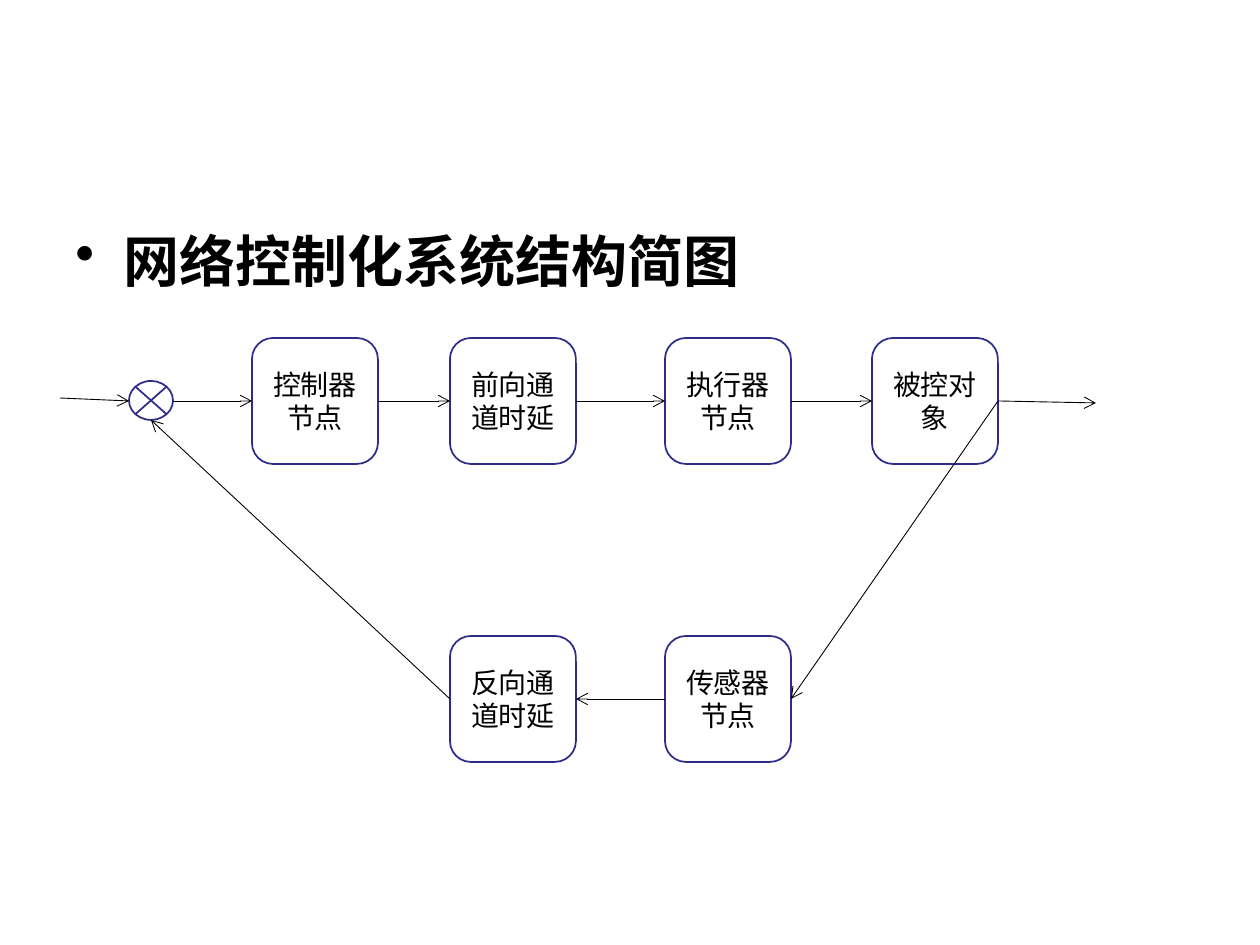
from lxml import etree
from pptx import Presentation
from pptx import util as u
from pptx.dml.color import RGBColor
from pptx.enum import shapes, text
from pptx.oxml import ns

SCALE = u.Inches(1) / 126  # EMU per px
BLACK = RGBColor(0x00, 0x00, 0x00)
WHITE = RGBColor(0xFF, 0xFF, 0xFF)
NAVY = RGBColor(0x2D, 0x2D, 0x89)

NODE = 126
LEFT, RIGHT = 1, 3  # connection sites of a node
COLUMNS = (192, 390, 605, 812)
FORWARD_ROW, FEEDBACK_ROW = 0, 298


def px(length):
    return u.Emu(round(length * SCALE))


def add_title(page, left, top, width, height):
    box = page.shapes.add_textbox(px(left), px(top), px(width), px(height))
    box.text_frame.word_wrap = True
    para = box.text_frame.paragraphs[0]
    para.text = "网络控制化系统结构简图"
    para.space_before = u.Pt(8)
    para.font.name = "Noto Sans CJK SC"
    para.font.size = u.Pt(32)
    para.font.bold = True
    para.font.color.rgb = BLACK
    # Hanging bullet
    properties = para._p.get_or_add_pPr()
    properties.set("marL", str(px(48)))
    properties.set("indent", str(-px(48)))
    bullet = etree.Element(ns.qn("a:buChar"), char="•")
    properties.find(ns.qn("a:spcBef")).addnext(bullet)


def add_outlined(page, kind, left, top, width, height):
    shape = page.shapes.add_shape(kind, px(left), px(top), px(width), px(height))
    shape.shadow.inherit = False
    shape.fill.solid()
    shape.fill.fore_color.rgb = WHITE
    shape.line.color.rgb = NAVY
    shape.line.width = u.Pt(1)
    return shape


def add_node(page, label, left, top):
    node = add_outlined(page, shapes.MSO_SHAPE.ROUNDED_RECTANGLE,
                        left, top, NODE, NODE)
    frame = node.text_frame
    frame.word_wrap = True
    frame.vertical_anchor = text.MSO_ANCHOR.MIDDLE
    para = frame.paragraphs[0]
    para.text = label
    para.alignment = text.PP_ALIGN.CENTER
    para.font.name = "Arial"
    para.font.size = u.Pt(16)
    para.font.color.rgb = BLACK
    return node


def add_arrow(page, start, end):
    """Each end is a point (x, y) in px or a pair (node, site)."""
    points = [(0, 0) if place[0] in page.shapes else place for place in (start, end)]
    arrow = page.shapes.add_connector(
        shapes.MSO_CONNECTOR.STRAIGHT,
        *(px(value) for point in points for value in point))
    for place, connect in ((start, arrow.begin_connect), (end, arrow.end_connect)):
        if place[0] in page.shapes:
            connect(*place)
    arrow.line.color.rgb = BLACK
    arrow.line.width = u.Pt(0.5)
    etree.SubElement(arrow.line._get_or_add_ln(), ns.qn("a:tailEnd"), type="arrow")
    etree.SubElement(arrow._element.spPr, ns.qn("a:effectLst"))


def add_control_loop(page, left, top, width):
    def at(x, y):
        return left + x, top + y

    # Summing junction
    middle = NODE // 2
    add_outlined(page, shapes.MSO_SHAPE.FLOWCHART_SUMMING_JUNCTION,
                 *at(69, 43), 44, 39)

    # Nodes of the forward path and the feedback path
    controller, forward_delay, actuator, plant = [
        add_node(page, label, *at(x, FORWARD_ROW))
        for label, x in zip(("控制器节点", "前向通道时延", "执行器节点", "被控对象"),
                            COLUMNS)]
    feedback_delay, sensor = [
        add_node(page, label, *at(x, FEEDBACK_ROW))
        for label, x in zip(("反向通道时延", "传感器节点"), COLUMNS[1:3])]

    # Signal flow
    for start, end in (
            (at(0, middle - 3), at(69, middle)),
            (at(113, middle), (controller, LEFT)),
            ((controller, RIGHT), (forward_delay, LEFT)),
            ((forward_delay, RIGHT), (actuator, LEFT)),
            ((actuator, RIGHT), (plant, LEFT)),
            ((plant, RIGHT), (sensor, RIGHT)),
            ((sensor, LEFT), (feedback_delay, RIGHT)),
            ((feedback_delay, LEFT), at(91, 82)),
            ((plant, RIGHT), at(width, middle + 2))):
        add_arrow(page, start, end)


def main():
    deck = Presentation()
    deck.slide_width, deck.slide_height = px(1260), px(945)
    page = deck.slides.add_slide(deck.slide_layouts[6])
    add_title(page, 63, 220, 1134, 624)
    add_control_loop(page, 60, 338, 1036)
    deck.save("out.pptx")


if __name__ == "__main__":
    main()
